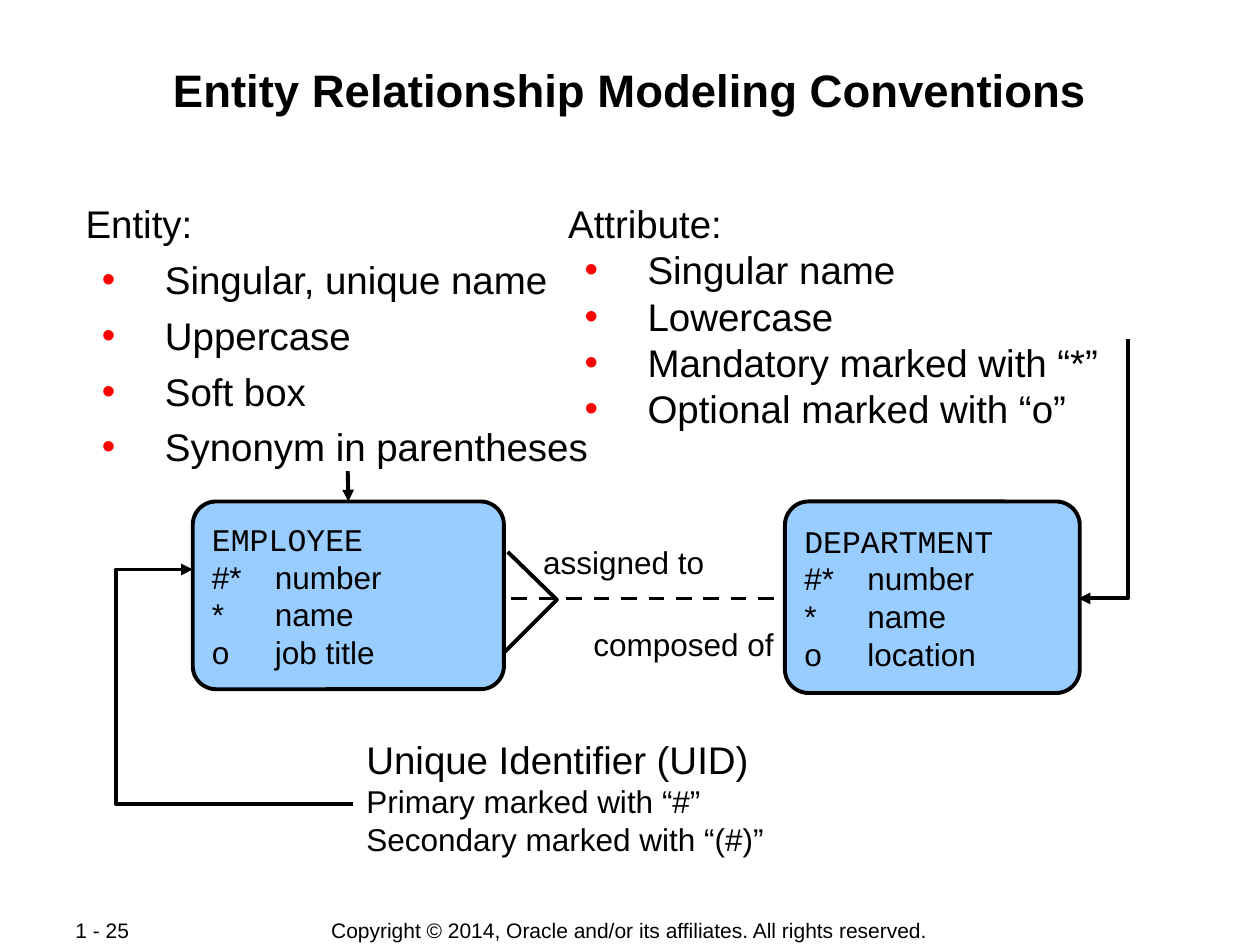
from lxml import etree
from pptx import Presentation
from pptx.dml.color import RGBColor
from pptx.enum.dml import MSO_LINE
from pptx.enum.shapes import MSO_CONNECTOR, MSO_SHAPE
from pptx.enum.text import MSO_ANCHOR, MSO_AUTO_SIZE, PP_ALIGN
from pptx.oxml.ns import qn
from pptx.util import Inches, Pt

BLACK = RGBColor(0x00, 0x00, 0x00)
RED = RGBColor(0xFF, 0x00, 0x00)
SKY = RGBColor(0x99, 0xCC, 0xFF)
SANS, MONO = "Arial", "Courier New"
STRAIGHT = MSO_CONNECTOR.STRAIGHT
SOFT_BOX = MSO_SHAPE.ROUNDED_RECTANGLE
DASH = MSO_LINE.DASH
TOP, MIDDLE = MSO_ANCHOR.TOP, MSO_ANCHOR.MIDDLE
LEFT, CENTER = PP_ALIGN.LEFT, PP_ALIGN.CENTER
FIT, FIXED = MSO_AUTO_SIZE.SHAPE_TO_FIT_TEXT, MSO_AUTO_SIZE.NONE

COLUMNS, ROWS = 100, 75
CELL = Inches(0.1)
NARROW, WIDE = (0.1, 0.1), (1, 0.5)  # side and top margins in cells
TOP_SIDE = 0


def cells(*counts):
    return [round(count * CELL) for count in counts]


def style(paragraph, size, font=SANS, bold=False, align=LEFT):
    paragraph.alignment = align
    paragraph.font.size = Pt(size)
    paragraph.font.name = font
    paragraph.font.bold = bold
    paragraph.font.color.rgb = BLACK


def set_margins(frame, margins):
    side, edge = cells(*margins)
    frame.margin_left = frame.margin_right = side
    frame.margin_top = frame.margin_bottom = edge


def add_text(slide, area, lines, sizes, margins=WIDE, wrap=True, grow=False,
             anchor=TOP, **look):
    """Put one paragraph per line, each in its own size."""
    frame = slide.shapes.add_textbox(*cells(*area)).text_frame
    frame.word_wrap = wrap
    frame.auto_size = FIT if grow else FIXED
    frame.vertical_anchor = anchor
    set_margins(frame, margins)
    frame.text = "\n".join(lines)
    for paragraph, size in zip(frame.paragraphs, sizes):
        style(paragraph, size, **look)
    return frame


def add_bullet(paragraph):
    properties = paragraph._p.get_or_add_pPr()
    properties.set("marL", str(Inches(0.63)))
    properties.set("indent", str(Inches(-0.5)))
    color = etree.SubElement(properties, qn("a:buClr"))
    etree.SubElement(color, qn("a:srgbClr"), val=str(RED))
    etree.SubElement(properties, qn("a:buFont"), typeface=SANS)
    etree.SubElement(properties, qn("a:buChar"), char="•")


def add_rules(slide, area, heading, rules, gap=0, grow=False):
    """Put a heading with bulleted rules under it."""
    frame = add_text(slide, area, [heading], [22], NARROW, grow=grow)
    for rule in rules:
        paragraph = frame.add_paragraph()
        paragraph.text = rule
        paragraph.level = 1
        add_bullet(paragraph)
        paragraph.space_before = Pt(gap)
        style(paragraph, 22)


def draw_stroke(shape, arrow=False):
    shape.line.color.rgb = BLACK
    shape.line.width = Pt(2.25)
    if arrow:
        etree.SubElement(shape.line._get_or_add_ln(), qn("a:tailEnd"), type="triangle")


def add_line(slide, start, end, arrow=False):
    line = slide.shapes.add_connector(STRAIGHT, *cells(*start, *end))
    draw_stroke(line, arrow)
    etree.SubElement(line._element.spPr, qn("a:effectLst"))
    return line


def add_path(slide, points, arrow=False):
    start, *rest = [cells(*point) for point in points]
    builder = slide.shapes.build_freeform(*start)
    builder.add_line_segments(rest, close=False)
    bend = builder.convert_to_shape()
    bend.shadow.inherit = False
    bend.fill.background()
    draw_stroke(bend, arrow)


def add_entity(slide, area, name, attributes):
    entity = slide.shapes.add_shape(SOFT_BOX, *cells(*area))
    entity.adjustments[0] = 0.124
    entity.shadow.inherit = False
    entity.fill.solid()
    entity.fill.fore_color.rgb = SKY
    draw_stroke(entity)
    frame = entity.text_frame
    frame.word_wrap = True
    frame.vertical_anchor = MIDDLE
    set_margins(frame, WIDE)
    rows = [f"{mark}\t{attribute}" for mark, attribute in attributes]
    frame.text = "\n".join([name, *rows])
    title, *details = frame.paragraphs
    style(title, 18, MONO)
    for detail in details:
        style(detail, 18)
    return entity


def add_relationship(slide):
    dashes = add_line(slide, (63.6, 47.5), (37.1, 47.5))
    dashes.line.dash_style = DASH
    add_path(slide, [(40.3, 43.8), (44.2, 47.6), (39.2, 52.6)])
    add_text(slide, (42.1, 42.6, 14.8, 4), ["assigned to"], [18],
             wrap=False, grow=True, align=CENTER)
    add_text(slide, (41, 49.1, 26.5, 4), ["composed of"], [18],
             grow=True, align=CENTER)


def add_footer(slide):
    add_text(slide, (27.5, 72.8, 44.9, 2.1),
             ["Copyright © 2014, Oracle and/or its affiliates. All rights reserved."],
             [12], wrap=False, anchor=MIDDLE, align=CENTER)
    add_text(slide, (5, 72.8, 10.6, 2), ["1 - 25"], [12], anchor=MIDDLE)


def main():
    deck = Presentation()
    deck.slide_width, deck.slide_height = cells(COLUMNS, ROWS)
    slide = deck.slides.add_slide(deck.slide_layouts[6])

    add_footer(slide)
    add_text(slide, (6.7, 4.8, 86.6, 9.6), ["Entity Relationship Modeling Conventions"],
             [26], NARROW, bold=True, align=CENTER)
    add_rules(slide, (6.7, 15.8, 86.6, 21.7), "Entity:",
              ["Singular, unique name", "Uppercase", "Soft box",
               "Synonym in parentheses"], gap=5.5)
    add_rules(slide, (45, 15.8, 45, 18.6), "Attribute:",
              ["Singular name", "Lowercase", "Mandatory marked with “*”",
               "Optional marked with “o”"], grow=True)
    add_text(slide, (28.1, 57.9, 33.6, 10.7),
             ["Unique Identifier (UID)", "Primary marked with “#”",
              "Secondary marked with “(#)”"], [22, 18, 18], wrap=False, grow=True)

    add_relationship(slide)
    employee = add_entity(slide, (15.3, 39.8, 24.7, 14.9), "EMPLOYEE",
                          [("#*", "number"), ("*", "name"), ("o", "job title")])
    add_entity(slide, (62.3, 39.8, 23.4, 15.2), "DEPARTMENT",
               [("#*", "number"), ("*", "name"), ("o", "location")])

    synonym = add_line(slide, (27.6, 37.4), (27.6, 39.8), arrow=True)
    synonym.end_connect(employee, TOP_SIDE)
    add_path(slide, [(89.5, 26.9), (89.5, 47.5), (85.6, 47.5)], arrow=True)
    add_path(slide, [(28, 63.8), (9.2, 63.8), (9.2, 45.2), (15.3, 45.2)], arrow=True)

    deck.save("out.pptx")


if __name__ == "__main__":
    main()
